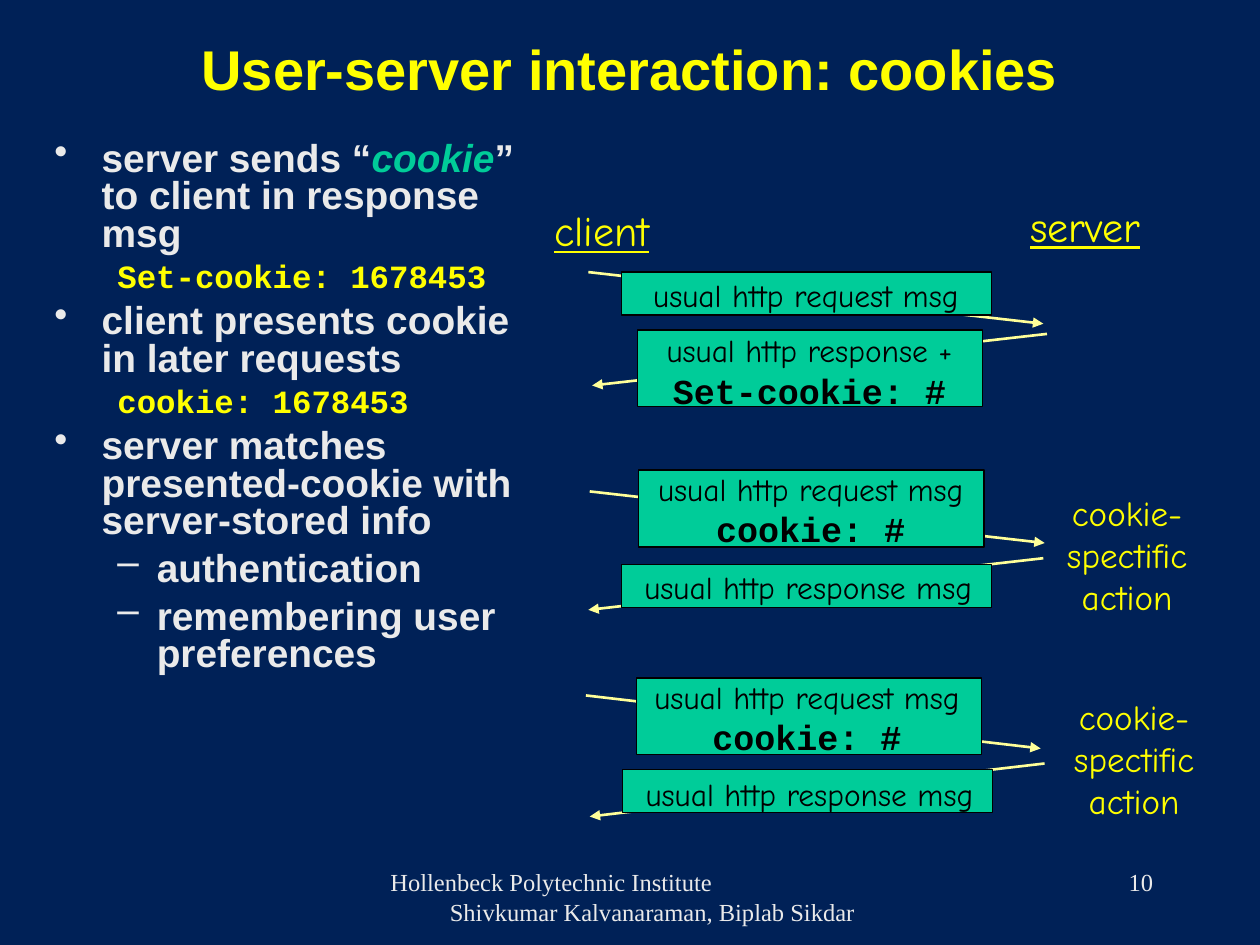
from lxml import etree
from pptx import Presentation
from pptx.dml.color import RGBColor
from pptx.enum.shapes import MSO_CONNECTOR, MSO_SHAPE
from pptx.enum.text import MSO_ANCHOR, PP_ALIGN
from pptx.oxml.ns import qn
from pptx.util import Pt

LEFT, CENTER, RIGHT = PP_ALIGN.LEFT, PP_ALIGN.CENTER, PP_ALIGN.RIGHT
TOP, MIDDLE = MSO_ANCHOR.TOP, MSO_ANCHOR.MIDDLE
STRAIGHT, RECT = MSO_CONNECTOR.STRAIGHT, MSO_SHAPE.RECTANGLE

COLORS = {
    "navy": "002157", "yellow": "FFFF00", "pale": "FFFF99",
    "green": "00CC99", "gray": "EAEAEA", "black": "000000",
}
SANS, HAND, MONO, SERIF = "Arial", "Comic Neue", "Courier New", "Times New Roman"
STYLES = {
    "title": ("yellow", {"name": SANS, "size": Pt(32), "bold": True}),
    "body": ("gray", {"name": SANS, "size": Pt(22.2), "bold": True}),
    "term": ("green", {"name": SANS, "size": Pt(22.2), "bold": True, "italic": True}),
    "code": ("yellow", {"name": MONO, "size": Pt(18.5), "bold": True}),
    "heading": ("yellow", {"name": HAND, "size": Pt(24), "underline": True}),
    "message": ("black", {"name": HAND, "size": Pt(18)}),
    "header": ("black", {"name": MONO, "size": Pt(20), "bold": True}),
    "note": ("yellow", {"name": HAND, "size": Pt(20)}),
    "footer": ("gray", {"name": SERIF, "size": Pt(14)}),
}


def rgb(name):
    return RGBColor.from_string(COLORS[name])


def add_text(parent, box, paras, align=CENTER, anchor=TOP):
    tf = parent.shapes.add_textbox(*map(Pt, box)).text_frame
    tf.word_wrap = True
    tf.vertical_anchor = anchor
    for i, runs in enumerate(paras):
        p = tf.paragraphs[0] if i == 0 else tf.add_paragraph()
        p.alignment = align
        for text, style in runs:
            r = p.add_run()
            r.text = text
            color, fmt = STYLES[style]
            for key, value in fmt.items():
                setattr(r.font, key, value)
            r.font.color.rgb = rgb(color)
    return tf


def set_indent(p, margin, indent, bullet=None):
    pPr = p._p.get_or_add_pPr()
    pPr.set("marL", str(Pt(margin)))
    pPr.set("indent", str(Pt(indent)))
    if bullet:
        clr = etree.SubElement(pPr, qn("a:buClr"))
        etree.SubElement(clr, qn("a:srgbClr")).set("val", COLORS["gray"])
        etree.SubElement(pPr, qn("a:buChar")).set("char", bullet)


def add_body(s, box):
    items = [
        ("point", [("server sends “", "body"), ("cookie", "term"),
                   ("” to client in response msg", "body")]),
        ("code", [("Set-cookie: 1678453", "code")]),
        ("point", [("client presents cookie in later requests", "body")]),
        ("code", [("cookie: 1678453", "code")]),
        ("point", [("server matches presented-cookie with server-stored info", "body")]),
        ("sub", [("authentication", "body")]),
        ("sub", [("remembering user preferences", "body")]),
    ]
    levels = {
        "point": (6, 27, -27, "•"),
        "code": (5, 58.5, -22.5, None),
        "sub": (6, 58.5, -22.5, "–"),
    }
    tf = add_text(s, box, [runs for _, runs in items], LEFT)
    for p, (kind, _) in zip(tf.paragraphs, items):
        before, margin, indent, bullet = levels[kind]
        p.line_spacing = 0.8
        p.space_before = Pt(before)
        set_indent(p, margin, indent, bullet)


def add_arrow(s, start, end):
    sp = s.shapes.add_connector(STRAIGHT, *map(Pt, start + end))
    sp.line.color.rgb = rgb("pale")
    sp.line.width = Pt(1.5)
    etree.SubElement(sp.line._get_or_add_ln(), qn("a:tailEnd")).set("type", "triangle")
    etree.SubElement(sp._element.spPr, qn("a:effectLst"))


def add_message(s, box, label_box, text, header=None):
    group = s.shapes.add_group_shape()
    sp = group.shapes.add_shape(RECT, *map(Pt, box))
    sp.shadow.inherit = False
    sp.fill.solid()
    sp.fill.fore_color.rgb = rgb("green")
    sp.line.color.rgb = rgb("black")
    sp.line.width = Pt(0.75)
    paras = [[(text, "message")]]
    if header:
        paras.append([(header, "header")])
    add_text(group, label_box, paras)


def add_exchanges(s):
    request, response = "usual http request msg", "usual http response msg"
    small, large = (211.7, 24.5), (197.3, 43.9)
    rows = [
        ((336.2, 155.5), (596.2, 185), (355, 155.5), small,
         (355, 154.1, 211, 28.8), request, None),
        ((598.3, 190.8), (338.4, 220.3), (364.3, 188.6), large,
         (358.6, 185.8, 208, 53.3), "usual http response +", "Set-cookie: #"),
        ((337, 280.8), (597, 310.3), (365, 268.6), large,
         (357.8, 265, 211, 53.3), request, "cookie: #"),
        ((596.2, 319), (336.2, 348.5), (355, 322.6), small,
         (352.8, 321.1, 218, 28.8), response, None),
        ((334.8, 397.4), (594.7, 427.7), (363.6, 387.4), large,
         (355.7, 383.8, 211, 53.3), request, "cookie: #"),
        ((596.9, 436.3), (337, 466.6), (355.7, 439.9), small,
         (353.5, 439.2, 218, 28.8), response, None),
    ]
    for start, end, corner, size, label_box, text, header in rows:
        add_arrow(s, start, end)
        add_message(s, corner + size, label_box, text, header)


def add_labels(s):
    for text, box in (("client", (306.8, 113.4, 74, 36)),
                      ("server", (579, 110.9, 82, 36))):
        add_text(s, box, [[(text, "heading")]])
    action = [[(word, "note")] for word in ("cookie-", "spectific", "action")]
    for left, top in ((599.6, 277.2), (603.6, 393.8)):
        add_text(s, (left, top, 89, 79.2), action)


def add_footer(s, box, number_box):
    tf = add_text(s, box, [[("Hollenbeck Polytechnic Institute", "footer")],
                           [("Shivkumar Kalvanaraman, Biplab Sikdar", "footer")]], LEFT)
    set_indent(tf.paragraphs[1], 34, 0)
    add_text(s, number_box, [[("10", "footer")]], RIGHT)


def main():
    prs = Presentation()
    prs.slide_width, prs.slide_height = Pt(720), Pt(540)
    s = prs.slides.add_slide(prs.slide_layouts[6])
    s.background.fill.solid()
    s.background.fill.fore_color.rgb = rgb("navy")
    add_footer(s, (216, 492, 294, 36), (516, 492, 150, 36))
    add_text(s, (54, 12, 612, 54), [[("User-server interaction: cookies", "title")]],
             anchor=MIDDLE)
    add_body(s, (24, 78, 283.5, 339))
    add_exchanges(s)
    add_labels(s)
    prs.save("out.pptx")


if __name__ == "__main__":
    main()
